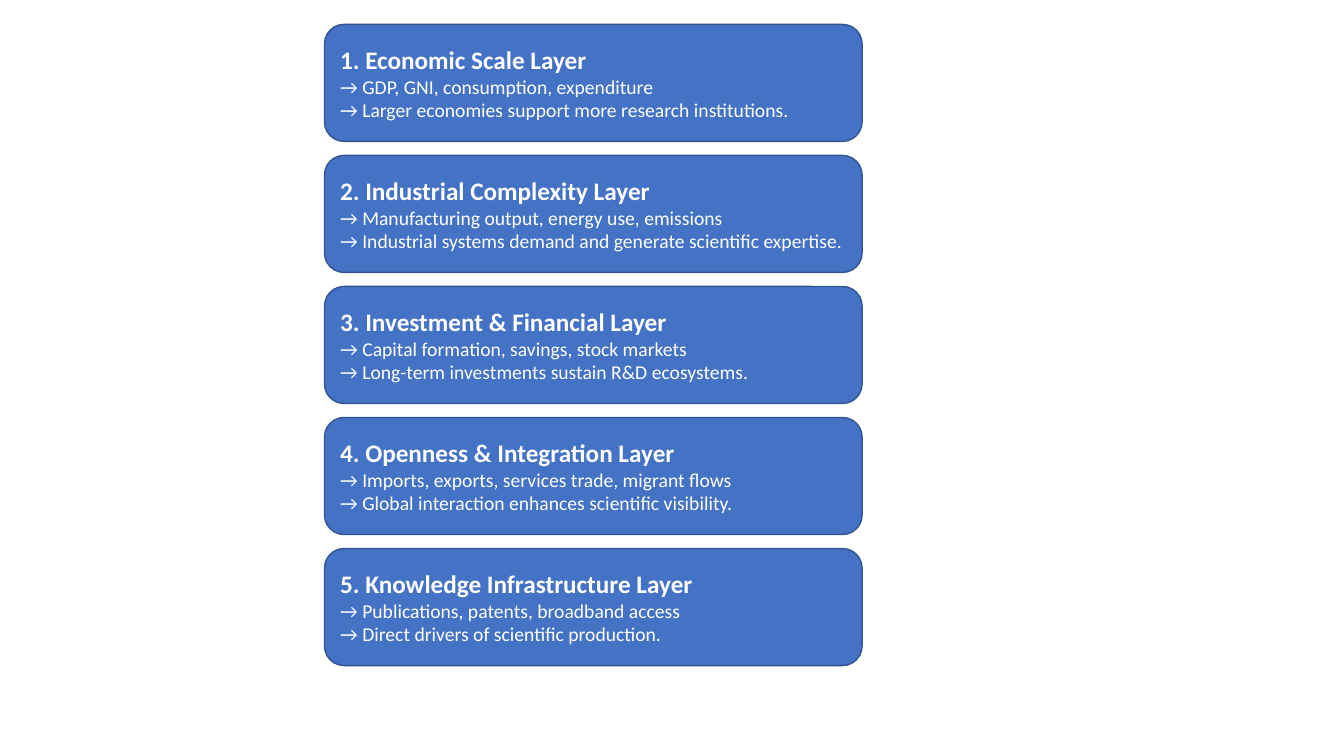
from dataclasses import dataclass

from pptx import Presentation
from pptx.dml.color import RGBColor
from pptx.enum.shapes import MSO_SHAPE
from pptx.enum.text import MSO_ANCHOR, PP_ALIGN
from pptx.util import Pt

ROUNDED = MSO_SHAPE.ROUNDED_RECTANGLE
MIDDLE = MSO_ANCHOR.MIDDLE
LEFT = PP_ALIGN.LEFT


@dataclass(frozen=True)
class Theme:
    """Colours, font and type sizes of the slide."""
    fill: RGBColor = RGBColor(0x44, 0x72, 0xC4)
    outline: RGBColor = RGBColor(0x32, 0x54, 0x91)
    text: RGBColor = RGBColor(0xFF, 0xFF, 0xFF)
    font: str = "Calibri"
    heading_size: int = 18
    detail_size: int = 14
    outline_width: int = 1


THEME = Theme()

LAYERS = [
    ("Economic Scale Layer",
     "GDP, GNI, consumption, expenditure",
     "Larger economies support more research institutions."),
    ("Industrial Complexity Layer",
     "Manufacturing output, energy use, emissions",
     "Industrial systems demand and generate scientific expertise."),
    ("Investment & Financial Layer",
     "Capital formation, savings, stock markets",
     "Long-term investments sustain R&D ecosystems."),
    ("Openness & Integration Layer",
     "Imports, exports, services trade, migrant flows",
     "Global interaction enhances scientific visibility."),
    ("Knowledge Infrastructure Layer",
     "Publications, patents, broadband access",
     "Direct drivers of scientific production."),
]


def add_layer(page, left, top, width, height, heading, details):
    """Draw one rounded card with a bold heading and arrowed details."""
    card = page.shapes.add_shape(ROUNDED, Pt(left), Pt(top), Pt(width), Pt(height))
    card.shadow.inherit = False
    card.fill.solid()
    card.fill.fore_color.rgb = THEME.fill
    card.line.color.rgb = THEME.outline
    card.line.width = Pt(THEME.outline_width)
    frame = card.text_frame
    frame.word_wrap = True
    frame.vertical_anchor = MIDDLE
    frame.text = "\n".join([heading, *(f"→ {detail}" for detail in details)])
    for index, para in enumerate(frame.paragraphs):
        para.alignment = LEFT
        for span in para.runs:
            span.font.name = THEME.font
            span.font.color.rgb = THEME.text
            span.font.bold = index == 0
            span.font.size = Pt(THEME.detail_size if index else THEME.heading_size)


def add_layer_stack(page, left, top, width, height, gap):
    """Stack the numbered layers evenly down the given box."""
    card_height = (height - gap * (len(LAYERS) - 1)) / len(LAYERS)
    for index, (title, *details) in enumerate(LAYERS):
        card_top = top + index * (card_height + gap)
        add_layer(page, left, card_top, width, card_height,
                  f"{index + 1}. {title}", details)


def main():
    """Build and save the deck."""
    deck = Presentation()
    deck.slide_width, deck.slide_height = Pt(960), Pt(540)
    page = deck.slides.add_slide(deck.slide_layouts[6])
    add_layer_stack(page, left=231.8, top=17.4, width=384, height=458, gap=10)
    deck.save("out.pptx")


if __name__ == "__main__":
    main()
